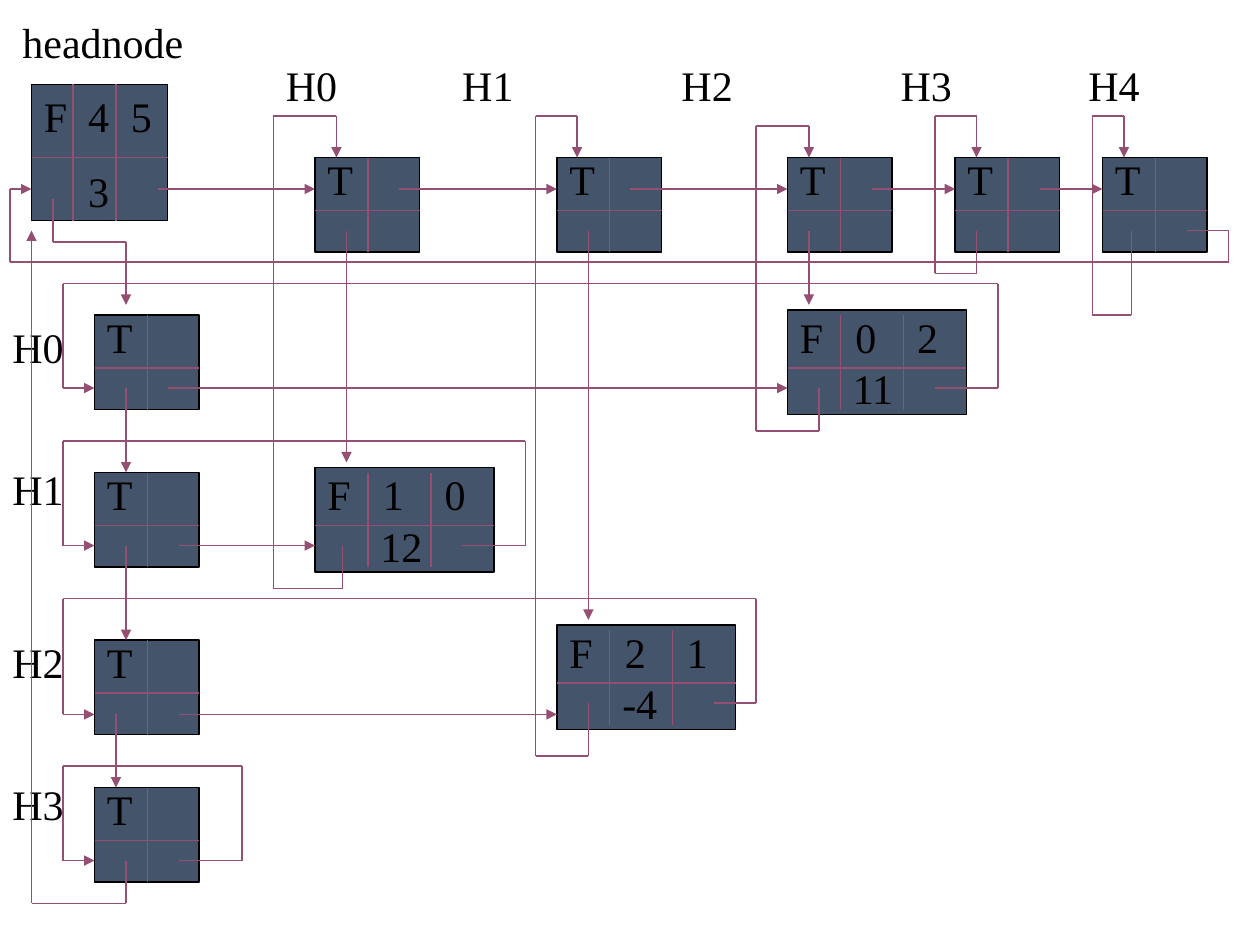
from dataclasses import dataclass
from itertools import pairwise

from lxml.etree import SubElement
from pptx import Presentation
from pptx.dml.color import RGBColor as Color
from pptx.enum.shapes import MSO_CONNECTOR as Connector, MSO_SHAPE as Shape
from pptx.oxml.ns import qn
from pptx.util import Inches, Pt


@dataclass(frozen=True)
class Theme:
    font: str = "Times New Roman"
    size: int = 24
    text: str = "000000"
    fill: str = "44546A"
    border: str = "000000"
    link: str = "954F72"
    line_width: float = 0.75


class MatrixSlide:
    """Draws the nodes and links of a sparse matrix on one slide."""

    def __init__(self, slide, theme):
        self.slide = slide
        self.theme = theme

    def label(self, text, left, top, width=0.67, height=0.5, tabs=(), shapes=None):
        """Add text whose columns start at the given tab offsets."""
        shapes = self.slide.shapes if shapes is None else shapes
        box = shapes.add_textbox(
            Inches(left), Inches(top), Inches(width), Inches(height))
        frame = box.text_frame
        frame.word_wrap = True
        frame.text = text
        for index, para in enumerate(frame.paragraphs):
            if tabs:
                tab_list = SubElement(para._p.get_or_add_pPr(), qn("a:tabLst"))
                for offset in tabs:
                    SubElement(tab_list, qn("a:tab"),
                               pos=str(Inches(offset)), algn="l")
            if index:
                para.space_before = Pt(14)
            for span in para.runs:
                span.font.name = self.theme.font
                span.font.size = Pt(self.theme.size)
                span.font.color.rgb = Color.from_string(self.theme.text)

    def line(self, start, end, arrow=False, shapes=None):
        shapes = self.slide.shapes if shapes is None else shapes
        link = shapes.add_connector(
            Connector.STRAIGHT, *(Inches(value) for value in (*start, *end)))
        link.line.color.rgb = Color.from_string(self.theme.link)
        link.line.width = Pt(self.theme.line_width)
        if arrow:
            SubElement(link.line._get_or_add_ln(), qn("a:tailEnd"), type="triangle")
        SubElement(link._element.spPr, qn("a:effectLst"))

    def route(self, *points):
        """Join the points with lines and end in an arrowhead."""
        for start, end in pairwise(points):
            self.line(start, end, arrow=end is points[-1])

    def node(self, left, top, width, height, split, dividers, overhang=0):
        """Draw a divided box, taller than its dividers by the overhang."""
        shapes = self.slide.shapes.add_group_shape().shapes
        box = shapes.add_shape(
            Shape.RECTANGLE, Inches(left), Inches(top - overhang),
            Inches(width), Inches(height + 2 * overhang))
        box.shadow.inherit = False
        box.fill.solid()
        box.fill.fore_color.rgb = Color.from_string(self.theme.fill)
        box.line.color.rgb = Color.from_string(self.theme.border)
        box.line.width = Pt(self.theme.line_width)
        self.line((left, top + split), (left + width, top + split), shapes=shapes)
        for offset in dividers:
            self.line((left + offset, top), (left + offset, top + height),
                      shapes=shapes)
        return shapes

    def main_node(self, left, top):
        shapes = self.node(left, top, 1.08, 1.08, 0.58, (0.33, 0.67))
        self.label("F\t4\t5\n\t3", left, top, 1.08, 1.1, (0.35, 0.69), shapes)

    def list_head(self, left, top):
        shapes = self.node(left, top, 0.83, 0.75, 0.42, (0.42,))
        self.label("T", left, top - 0.08, 0.5, shapes=shapes)

    def entry(self, left, top, row, column, value):
        shapes = self.node(left, top, 1.42, 0.75, 0.42, (0.42, 0.92), 0.04)
        self.label(f"F\t{row}\t{column}", left, top - 0.08, 1.42,
                   tabs=(0.44, 0.93), shapes=shapes)
        self.label(value, left + 0.42, top + 0.33, 0.58, shapes=shapes)

    def row_return(self, start, right, top, end_y):
        """Lead the last node of a row back over the top to its list head."""
        self.route(start, (right, start[1]), (right, top),
                   (0.5, top), (0.5, end_y), (0.75, end_y))

    def column_return(self, start, bottom, left, top, end_x):
        """Lead the last node of a column back up to its list head."""
        self.route(start, (start[0], bottom), (left, bottom),
                   (left, top), (end_x, top), (end_x, 1.25))


COLUMN_LEFTS = (2.5, 4.42, 6.25, 7.58, 8.75)
ROW_TOPS = (2.5, 3.75, 5.08, 6.25)
ROW_LABEL_TOPS = (2.5, 3.63, 5, 6.13)
ENTRIES = (  # left, top, row, column, value
    (6.25, 2.5, 0, 2, "11"),
    (2.5, 3.75, 1, 0, "12"),
    (4.42, 5, 2, 1, "-4"),
)
ARROWS = (
    # along the column heads
    ((1.25, 1.5), (2.5, 1.5)),
    ((3.17, 1.5), (4.42, 1.5)),
    ((5, 1.5), (6.25, 1.5)),
    ((6.92, 1.5), (7.58, 1.5)),
    ((8.25, 1.5), (8.75, 1.5)),
    # from the row heads to the entries
    ((1.33, 3.08), (6.25, 3.08)),
    ((1.42, 4.33), (2.5, 4.33)),
    ((1.42, 5.67), (4.42, 5.67)),
    # from the column heads to the entries
    ((6.42, 1.83), (6.42, 2.42)),
    ((2.75, 1.83), (2.75, 3.67)),
    ((4.67, 1.83), (4.67, 4.92)),
    # down the row heads
    ((1, 3.08), (1, 3.75)),
    ((1, 4.33), (1, 5.08)),
    ((0.92, 5.67), (0.92, 6.25)),
)
ROW_RETURNS = (  # start, right, top, end y
    ((7.42, 3.08), 7.92, 2.25, 3.08),
    ((3.67, 4.33), 4.17, 3.5, 4.33),
    ((5.67, 5.58), 6, 4.75, 5.67),
    ((1.42, 6.83), 1.92, 6.08, 6.83),
)
COLUMN_RETURNS = (  # start, bottom, left, top, end x
    ((2.72, 4.33), 4.67, 2.17, 0.92, 2.67),
    ((4.67, 5.58), 6, 4.25, 0.92, 4.58),
    ((6.5, 3.08), 3.42, 6, 1, 6.42),
    ((7.75, 1.83), 2.17, 7.42, 0.92, 7.75),
    ((8.98, 1.83), 2.5, 8.67, 0.92, 8.92),
)


def main():
    deck = Presentation()
    deck.slide_width, deck.slide_height = Inches(10), Inches(7.5)
    page = MatrixSlide(deck.slides.add_slide(deck.slide_layouts[6]), Theme())

    page.main_node(0.25, 0.67)
    for left in COLUMN_LEFTS:
        page.list_head(left, 1.25)
    for top in ROW_TOPS:
        page.list_head(0.75, top)
    for entry in ENTRIES:
        page.entry(*entry)

    page.label("headnode", 0.08, 0.08, 1.58)
    page.label("H0\tH1\tH2\tH3\tH4", 2.17, 0.42, 7.33,
               tabs=(1.4, 3.14, 4.88, 6.37))
    for index, top in enumerate(ROW_LABEL_TOPS):
        page.label(f"H{index}", 0, top)

    for arrow in ARROWS:
        page.route(*arrow)
    for loop in ROW_RETURNS:
        page.row_return(*loop)
    for loop in COLUMN_RETURNS:
        page.column_return(*loop)
    page.route((0.42, 1.58), (0.42, 1.92), (1, 1.92), (1, 2.42))
    page.route((9.42, 1.83), (9.75, 1.83), (9.75, 2.08),
               (0.08, 2.08), (0.08, 1.5), (0.25, 1.5))
    page.route((1, 6.83), (1, 7.17), (0.25, 7.17), (0.25, 1.83))
    deck.save("out.pptx")


if __name__ == "__main__":
    main()
